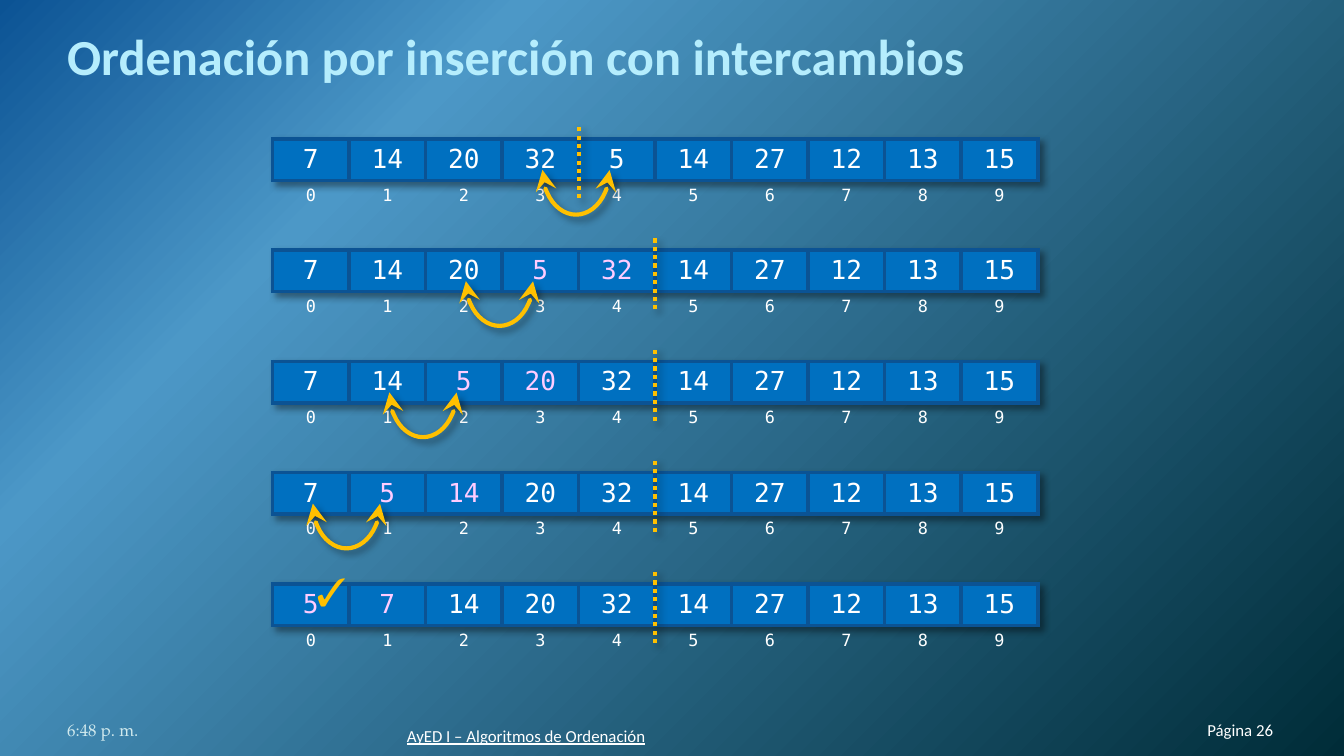
from lxml import etree
from pptx import Presentation
from pptx.dml.color import RGBColor
from pptx.enum.dml import MSO_LINE
from pptx.enum.shapes import MSO_CONNECTOR, MSO_SHAPE
from pptx.enum.text import MSO_ANCHOR, MSO_AUTO_SIZE, PP_ALIGN
from pptx.oxml import parse_xml
from pptx.oxml.ns import nsdecls, qn
from pptx.util import Pt

NAVY, BLUE, GOLD, WHITE, PINK = "0B5394", "0070C0", "FFC000", "FFFFFF", "FFCCFF"
MONO = "DejaVu Sans Mono"
COL_W, VALUE_H, INDEX_H = 41, 22, 17.5


def rgb(value):
    return RGBColor.from_string(value)


def style(run, size, font, color, bold=False, underline=False):
    f = run.font
    f.size, f.name, f.bold, f.underline = Pt(size), font, bold, underline
    f.color.rgb = rgb(color)


def line_xml(tag, color, width):
    return parse_xml(
        f'<a:{tag} {nsdecls("a")} w="{Pt(width)}"><a:solidFill>'
        f'<a:srgbClr val="{color}"/></a:solidFill></a:{tag}>')


def shadow_xml():
    return parse_xml(
        f'<a:effectLst {nsdecls("a")}><a:outerShdw blurRad="{Pt(4)}" dist="{Pt(3)}" '
        'dir="2700000" algn="tl" rotWithShape="0"><a:srgbClr val="000000">'
        '<a:alpha val="40000"/></a:srgbClr></a:outerShdw></a:effectLst>')


def add_background(s):
    stops = [(0, NAVY), (25, "4C98C7"), (100, "002C38")]
    gs = "".join(f'<a:gs pos="{pos * 1000}"><a:srgbClr val="{color}"/></a:gs>'
                 for pos, color in stops)
    bg = parse_xml(
        f'<p:bg {nsdecls("p", "a")}><p:bgPr><a:gradFill><a:gsLst>{gs}</a:gsLst>'
        '<a:path path="circle"><a:fillToRect l="0" t="0" r="100000" b="100000"/></a:path>'
        '</a:gradFill><a:effectLst/></p:bgPr></p:bg>')
    s.element.cSld.insert(0, bg)


def add_label(s, box, text, size, font, color, align=PP_ALIGN.LEFT, pad=0, **look):
    tf = s.shapes.add_textbox(*map(Pt, box)).text_frame
    tf.word_wrap = True
    tf.vertical_anchor = MSO_ANCHOR.BOTTOM
    tf.margin_left = tf.margin_right = tf.margin_bottom = 0
    tf.margin_top = Pt(pad)
    tf.text = text
    p = tf.paragraphs[0]
    p.alignment = align
    style(p.runs[0], size, font, color, **look)
    return p.runs[0]


def add_title(s, box):
    r = add_label(s, box, "Ordenación por inserción con intercambios",
                  27, "Calibri", "B5EDFD", pad=3.6, bold=True)
    r.font._element.insert(0, line_xml("ln", BLUE, 0.75))


def fill_cell(cell, text, size, color, borders, fill=None):
    cell.margin_left = cell.margin_right = Pt(5.4)
    cell.margin_top = cell.margin_bottom = Pt(2.7)
    cell.text = text
    p = cell.text_frame.paragraphs[0]
    p.alignment = PP_ALIGN.CENTER
    style(p.runs[0], size, MONO, color)
    tcPr = cell._tc.get_or_add_tcPr()
    for side in borders:
        tcPr.append(line_xml(f"ln{side}", NAVY, 2.25))
    if fill:
        cell.fill.solid()
        cell.fill.fore_color.rgb = rgb(fill)
    else:
        cell.fill.background()


def add_array(s, left, top, values, moved):
    n = len(values)
    table = s.shapes.add_table(2, n, Pt(left), Pt(top), Pt(n * COL_W),
                               Pt(VALUE_H + INDEX_H)).table
    table.first_row = table.horz_banding = False
    tblPr = table._tbl.tblPr
    tblPr.find(qn("a:tableStyleId")).text = "{2D5ABB26-0587-4C30-8999-92F81FD0307C}"
    tblPr.insert(0, shadow_xml())
    table.rows[0].height, table.rows[1].height = Pt(VALUE_H), Pt(INDEX_H)
    for i, value in enumerate(values):
        table.columns[i].width = Pt(COL_W)
        color = PINK if i in moved else WHITE
        fill_cell(table.cell(0, i), str(value), 14, color, "LRTB", BLUE)
        fill_cell(table.cell(1, i), str(i), 9, WHITE, "T")


def gold_line(sp):
    sp.line.color.rgb = rgb(GOLD)
    sp.line.width = Pt(2.25)
    sp._element.spPr.append(shadow_xml())


def add_boundary(s, x, top):
    sp = s.shapes.add_connector(MSO_CONNECTOR.STRAIGHT, Pt(x), Pt(top + 39), Pt(x), Pt(top))
    gold_line(sp)
    sp.line.dash_style = MSO_LINE.ROUND_DOT


def add_swap_arc(s, cx, cy, w=48, h=36):
    sp = s.shapes.add_shape(MSO_SHAPE.ARC, Pt(cx - w / 2), Pt(cy - h / 2), Pt(w), Pt(h))
    sp.adjustments[0], sp.adjustments[1] = 162, 53.78
    sp.rotation = 270
    sp._element.spPr.find(qn("a:xfrm")).set("flipH", "1")
    sp.fill.background()
    gold_line(sp)
    for end in ("headEnd", "tailEnd"):
        etree.SubElement(sp.line._get_or_add_ln(), qn(f"a:{end}"),
                         type="stealth", w="lg", len="lg")


def add_check(s, box):
    tf = s.shapes.add_textbox(*map(Pt, box)).text_frame
    tf.word_wrap = False
    tf.auto_size = MSO_AUTO_SIZE.SHAPE_TO_FIT_TEXT
    tf.text = "✓"
    p = tf.paragraphs[0]
    p.space_after = Pt(4.5)
    style(p.runs[0], 21, "Cambria", GOLD, bold=True)


def add_steps(s, left, top, pitch):
    """The element at index 4 moves left by one swap per step."""
    values = [7, 14, 20, 32, 5, 14, 27, 12, 13, 15]
    start = 4
    for step in range(start + 1):
        y = top + step * pitch
        pos = start - step
        moved = (pos, pos + 1) if step else ()
        add_array(s, left, y, values, moved)
        sorted_count = start + 1 if step else start
        add_boundary(s, left + sorted_count * COL_W, y - 7.2)
        if pos:
            add_swap_arc(s, left + pos * COL_W - 1.4, y + 16.6)
            values[pos - 1], values[pos] = values[pos], values[pos - 1]
        else:
            add_check(s, (left + 16.6, y - 12.2, 31, 32.4))


def add_footer(s, top, height):
    add_label(s, (36, top, 168, height), "6:48 p. m.", 9, "TeX Gyre Pagella", "D1EAEE")
    add_label(s, (218, top + 3, 272, height), "AyED I – Algoritmos de Ordenación",
              9, "Calibri", WHITE, underline=True)
    add_label(s, (611.5, top, 70.5, height), "Página 26", 9, "Calibri", WHITE, PP_ALIGN.RIGHT)


def main():
    prs = Presentation()
    prs.slide_width, prs.slide_height = Pt(720), Pt(405)
    s = prs.slides.add_slide(prs.slide_layouts[6])
    add_background(s)
    add_title(s, (36, 16.5, 648, 29.5))
    add_steps(s, 146, 74.4, 59.6)
    add_footer(s, 375, 21.6)
    prs.save("out.pptx")


if __name__ == "__main__":
    main()
